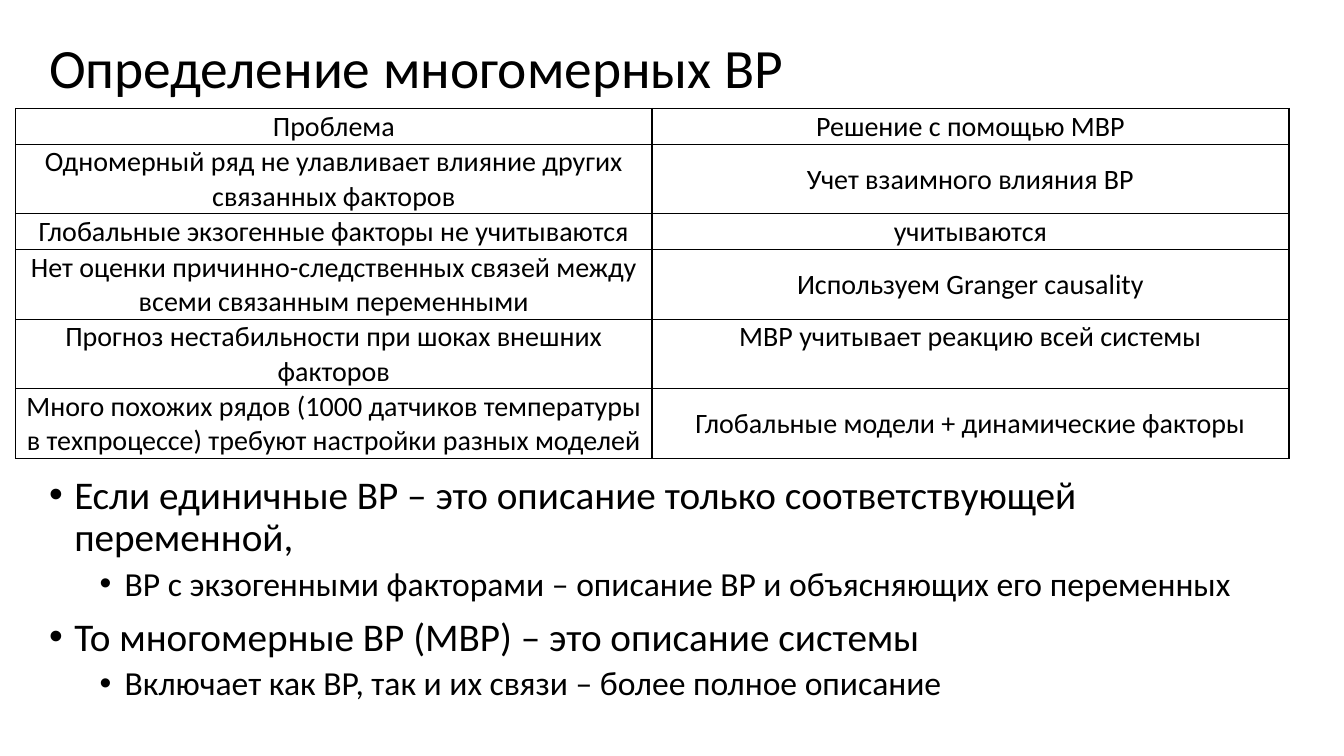
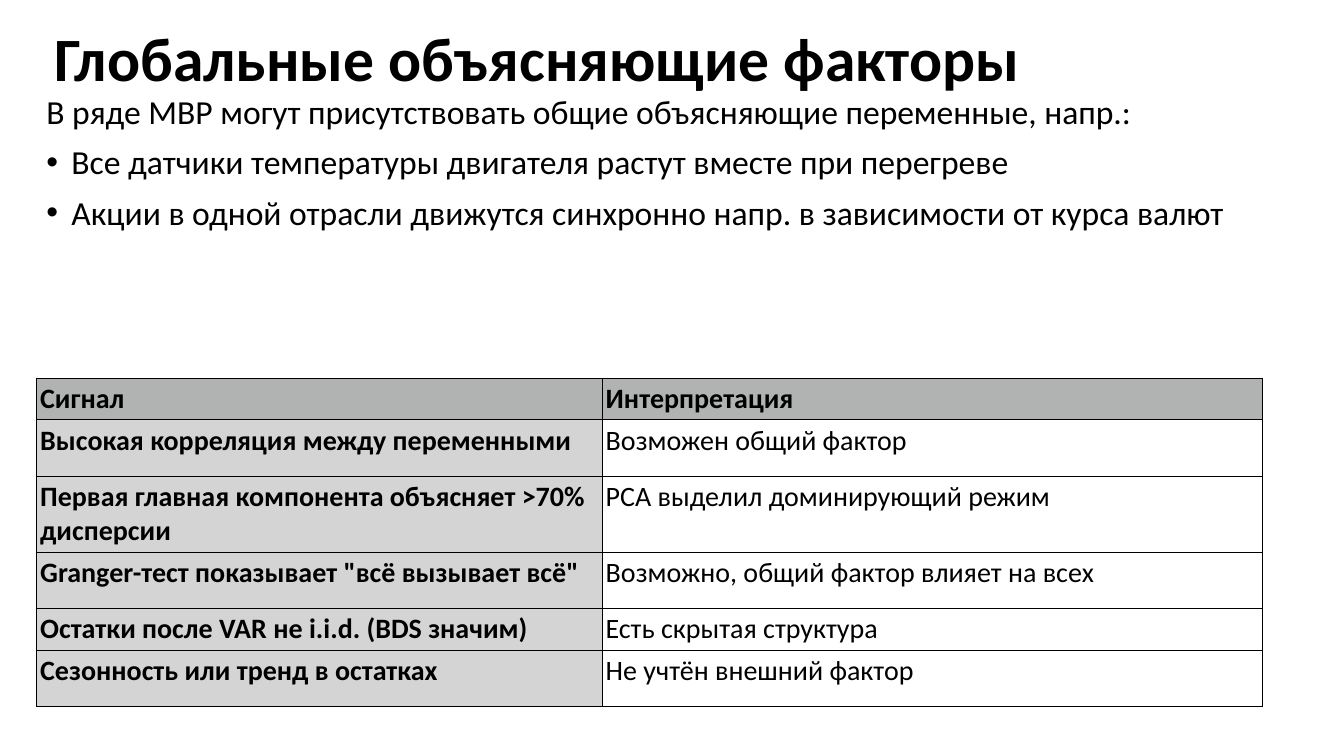
from dataclasses import dataclass

import lxml.etree
import pptx
import pptx.dml.color
import pptx.enum.text
import pptx.oxml.ns
import pptx.slide
import pptx.table
import pptx.text.text
import pptx.util

Pt = pptx.util.Pt
RGB = pptx.dml.color.RGBColor
Align = pptx.enum.text.PP_ALIGN
Anchor = pptx.enum.text.MSO_ANCHOR
qn = pptx.oxml.ns.qn


@dataclass(frozen=True)
class Theme:
    font: str = "Calibri"
    bullet_font: str = "Arial"
    ink: str = "000000"
    header_fill: str = "B0B3B2"
    signal_fill: str = "D4D4D4"
    title_size: float = 39.6
    strong_title_size: float = 44
    lead_size: float = 28
    body_size: float = 24
    table_size: float = 20
    line_spacing: float = 0.9


THEME = Theme()


@dataclass(frozen=True)
class Box:
    left: float
    top: float
    width: float
    height: float


@dataclass(frozen=True)
class Line:
    text: str
    size: float
    space_before: float = 0
    margin: float = 0
    bullet: bool = False
    bold: bool = False


@dataclass(frozen=True)
class Cell:
    text: str
    bold: bool = False
    fill: str | None = None
    anchor: Anchor = Anchor.TOP


@dataclass(frozen=True)
class Grid:
    left: float
    top: float
    columns: tuple[float, ...]
    heights: tuple[float, ...]
    insets: tuple[float, float, float, float]
    border: float
    align: Align


def set_font(paragraph: pptx.text.text._Paragraph, size: float, bold: bool) -> None:
    paragraph.font.name = THEME.font
    paragraph.font.size = Pt(size)
    paragraph.font.bold = bold
    paragraph.font.color.rgb = RGB.from_string(THEME.ink)


def add_bullet(paragraph: pptx.text.text._Paragraph, margin: float) -> None:
    properties = paragraph._p.get_or_add_pPr()
    properties.set("marL", str(Pt(margin)))
    properties.set("indent", str(Pt(-18)))
    lxml.etree.SubElement(properties, qn("a:buFont"), typeface=THEME.bullet_font)
    lxml.etree.SubElement(properties, qn("a:buChar"), char="•")


def add_text(
    slide: pptx.slide.Slide, box: Box, lines: list[Line], anchor: Anchor = Anchor.TOP
) -> None:
    frame = slide.shapes.add_textbox(
        Pt(box.left), Pt(box.top), Pt(box.width), Pt(box.height)
    ).text_frame
    frame.word_wrap = True
    frame.vertical_anchor = anchor
    for index, line in enumerate(lines):
        paragraph = frame.add_paragraph() if index else frame.paragraphs[0]
        paragraph.text = line.text
        if line.bullet:
            add_bullet(paragraph, line.margin)
        paragraph.line_spacing = THEME.line_spacing
        paragraph.space_before = Pt(line.space_before)
        set_font(paragraph, line.size, line.bold)


def add_title(slide: pptx.slide.Slide, box: Box, title: Line) -> None:
    add_text(slide, box, [title], Anchor.MIDDLE)


def add_borders(cell: pptx.table._Cell, width: float) -> None:
    properties = cell._tc.get_or_add_tcPr()
    for side in ("lnL", "lnR", "lnT", "lnB"):
        edge = lxml.etree.SubElement(properties, qn(f"a:{side}"), w=str(Pt(width)))
        fill = lxml.etree.SubElement(edge, qn("a:solidFill"))
        lxml.etree.SubElement(fill, qn("a:srgbClr"), val=THEME.ink)


def fill_cell(target: pptx.table._Cell, content: Cell, grid: Grid) -> None:
    add_borders(target, grid.border)
    if content.fill:
        target.fill.solid()
        target.fill.fore_color.rgb = RGB.from_string(content.fill)
    else:
        target.fill.background()
    left, top, right, bottom = grid.insets
    target.margin_left, target.margin_right = Pt(left), Pt(right)
    target.margin_top, target.margin_bottom = Pt(top), Pt(bottom)
    target.vertical_anchor = content.anchor
    paragraph = target.text_frame.paragraphs[0]
    paragraph.text = content.text
    paragraph.alignment = grid.align
    set_font(paragraph, THEME.table_size, content.bold)


def add_grid(slide: pptx.slide.Slide, grid: Grid, rows: list[list[Cell]]) -> None:
    table = slide.shapes.add_table(
        len(rows),
        len(grid.columns),
        Pt(grid.left),
        Pt(grid.top),
        Pt(sum(grid.columns)),
        Pt(sum(grid.heights)),
    ).table
    table.first_row = False
    table.horz_banding = False
    for column, width in zip(table.columns, grid.columns):
        column.width = Pt(width)
    for row, height, contents in zip(table.rows, grid.heights, rows):
        row.height = Pt(height)
        for target, content in zip(row.cells, contents):
            fill_cell(target, content, grid)


def build_definition(slide: pptx.slide.Slide) -> None:
    add_title(
        slide,
        Box(28, 28.8, 866, 42.5),
        Line("Определение многомерных ВР", THEME.title_size),
    )
    problems = [
        ("Проблема", "Решение с помощью МВР"),
        (
            "Одномерный ряд не улавливает влияние других связанных факторов",
            "Учет взаимного влияния ВР",
        ),
        ("Глобальные экзогенные факторы не учитываются", "учитываются"),
        (
            "Нет оценки причинно-следственных связей между всеми связанным переменными",
            "Используем Granger causality",
        ),
        (
            "Прогноз нестабильности при шоках внешних факторов",
            "МВР учитывает реакцию всей системы",
        ),
        (
            "Много похожих рядов (1000 датчиков температуры в техпроцессе) "
            "требуют настройки разных моделей",
            "Глобальные модели + динамические факторы",
        ),
    ]
    rows = [[Cell(text, anchor=Anchor.MIDDLE) for text in pair] for pair in problems]
    rows[4][1] = Cell(problems[4][1])
    single, double = 25.5, 49.75
    grid = Grid(
        left=11.2,
        top=77.5,
        columns=(454.5, 455),
        heights=(single, double, single, double, double, double),
        insets=(0.7, 0.7, 0.7, 0),
        border=1,
        align=Align.CENTER,
    )
    add_grid(slide, grid, rows)
    lead, body = THEME.lead_size, THEME.body_size
    add_text(
        slide,
        Box(28, 336.2, 893.5, 180.7),
        [
            Line(
                "Если единичные ВР – это описание только соответствующей переменной,",
                lead, 0, 18, True,
            ),
            Line(
                "ВР с экзогенными факторами – описание ВР и объясняющих его переменных",
                body, 5, 54, True,
            ),
            Line("То многомерные ВР (МВР) – это описание системы", lead, 10, 18, True),
            Line(
                "Включает как ВР, так и их связи – более полное описание",
                body, 5, 54, True,
            ),
        ],
    )


def build_factors(slide: pptx.slide.Slide) -> None:
    add_title(
        slide,
        Box(31.7, 16.5, 902, 55.5),
        Line("Глобальные объясняющие факторы", THEME.strong_title_size, bold=True),
    )
    body = THEME.body_size
    add_text(
        slide,
        Box(26, 64.8, 908, 458.6),
        [
            Line(
                "В ряде МВР могут присутствовать общие объясняющие переменные, напр.:",
                body,
            ),
            Line(
                "Все датчики температуры двигателя растут вместе при перегреве",
                body, 10, 18, True,
            ),
            Line(
                "Акции в одной отрасли движутся синхронно напр. в зависимости от курса валют",
                body, 10, 18, True,
            ),
        ],
    )
    signals = [
        ("Высокая корреляция между переменными", "Возможен общий фактор"),
        (
            "Первая главная компонента объясняет >70% дисперсии",
            "PCA выделил доминирующий режим",
        ),
        (
            'Granger-тест показывает "всё вызывает всё"',
            "Возможно, общий фактор влияет на всех",
        ),
        ("Остатки после VAR не i.i.d. (BDS значим)", "Есть скрытая структура"),
        ("Сезонность или тренд в остатках", "Не учтён внешний фактор"),
    ]
    header = [Cell(text, True, THEME.header_fill) for text in ("Сигнал", "Интерпретация")]
    rows = [header] + [
        [Cell(signal, True, THEME.signal_fill), Cell(meaning)]
        for signal, meaning in signals
    ]
    compact, roomy, double = 29.8, 40.3, 54.3
    grid = Grid(
        left=26,
        top=270,
        columns=(404, 471.5),
        heights=(compact, roomy, double, roomy, compact, roomy),
        insets=(2.7, 2.7, 2.7, 2.7),
        border=0.75,
        align=Align.LEFT,
    )
    add_grid(slide, grid, rows)


def main() -> None:
    deck = pptx.Presentation()
    deck.slide_width, deck.slide_height = Pt(960), Pt(540)
    for build in (build_definition, build_factors):
        build(deck.slides.add_slide(deck.slide_layouts[6]))
    deck.save("out.pptx")


if __name__ == "__main__":
    main()
